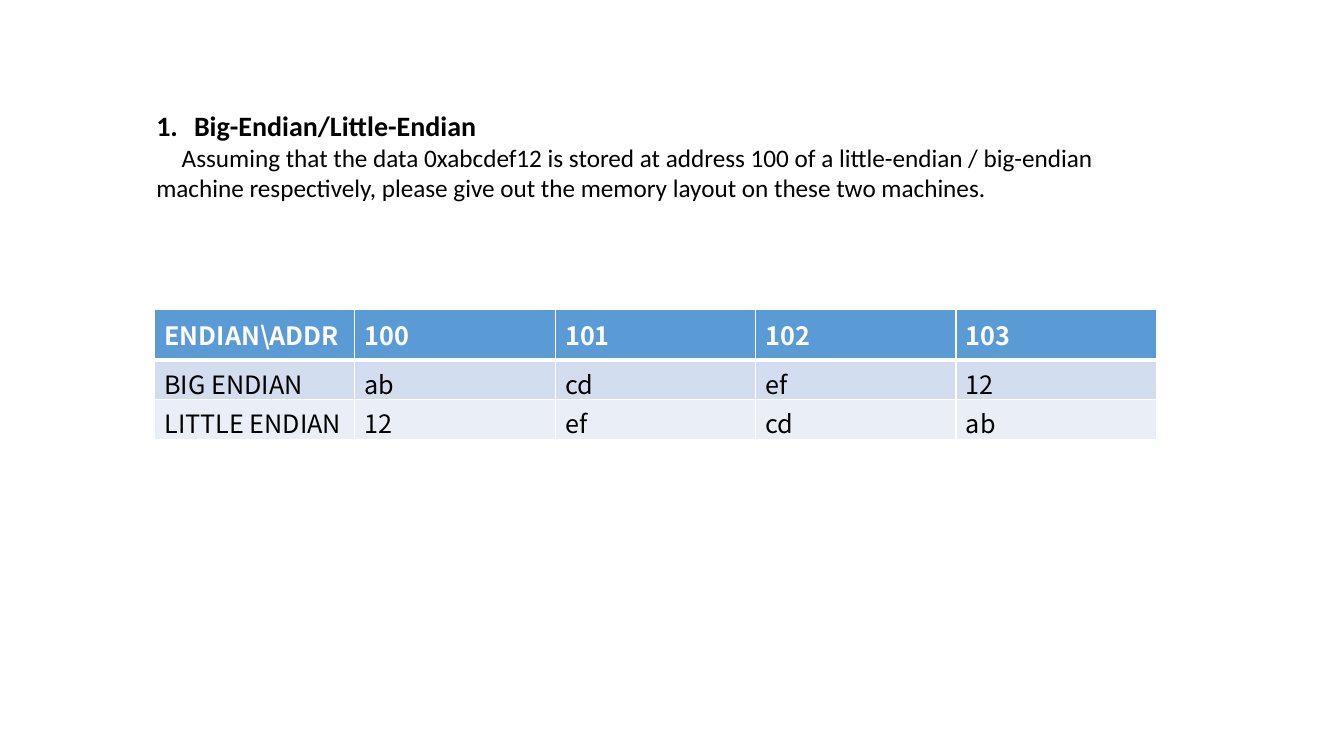
from pptx import Presentation
from pptx.dml.color import RGBColor
from pptx.enum.text import MSO_ANCHOR
from pptx.oxml.ns import qn
from pptx.util import Cm, Pt
from lxml.etree import SubElement

COLORS = {
    "text": "000000",
    "white": "FFFFFF",
    "header": "5B9BD5",
    "big": "D2DEEF",
    "little": "EAEFF7",
}


def style(run, font, size, color, bold):
    run.font.name = font
    run.font.size = Pt(size)
    run.font.bold = bold
    run.font.color.rgb = RGBColor.from_string(COLORS[color])


def add_borders(cell, bottom_width):
    # Borders come before the fill in the cell properties
    props = cell._tc.get_or_add_tcPr()
    widths = {"a:lnL": 1, "a:lnR": 1, "a:lnT": 1, "a:lnB": bottom_width}
    for side, width in widths.items():
        line = SubElement(props, qn(side), w=str(Pt(width)))
        fill = SubElement(line, qn("a:solidFill"))
        SubElement(fill, qn("a:srgbClr"), val=COLORS["white"])


prs = Presentation()
prs.slide_width, prs.slide_height = Cm(33.87), Cm(19.05)
slide = prs.slides.add_slide(prs.slide_layouts[6])

# Question: numbered heading and indented body
question = slide.shapes.add_textbox(Cm(3.69), Cm(2.62), Cm(25.7), Cm(6.83)).text_frame
question.word_wrap = True
heading = question.paragraphs[0]
heading.text = "Big-Endian/Little-Endian"
style(heading.runs[0], "Calibri", 20, "text", True)
heading_props = heading._p.get_or_add_pPr()
heading_props.set("marL", str(Cm(0.95)))
heading_props.set("indent", str(Cm(-0.95)))
SubElement(heading_props, qn("a:buFont"), typeface="+mj-lt")
SubElement(heading_props, qn("a:buAutoNum"), type="arabicPeriod")

task = question.add_paragraph()
task.text = (
    "Assuming that the data 0xabcdef12 is stored at address 100 of a "
    "little-endian / big-endian machine respectively, please give out "
    "the memory layout on these two machines. "
)
style(task.runs[0], "Calibri", 18, "text", False)
task._p.get_or_add_pPr().set("indent", str(Cm(0.64)))

# Memory layout table
layout_rows = [
    ("header", ["ENDIAN\\ADDR", "100", "101", "102", "103"]),
    ("big", ["BIG ENDIAN", "ab", "cd", "ef", "12"]),
    ("little", ["LITTLE ENDIAN", "12", "ef", "cd", "ab"]),
]
memory = slide.shapes.add_table(3, 5, Cm(3.89), Cm(7.8), Cm(25.27), Cm(3.3)).table
for column in memory.columns:
    column.width = Cm(5.05)
for r, (kind, values) in enumerate(layout_rows):
    is_header = kind == "header"
    memory.rows[r].height = Cm(1.27 if is_header else 1.0)
    for c, value in enumerate(values):
        cell = memory.cell(r, c)
        cell.text = value
        style(cell.text_frame.paragraphs[0].runs[0], "Noto Sans CJK SC", 18,
              "white" if is_header else "text", is_header)
        if is_header:
            cell.vertical_anchor = MSO_ANCHOR.MIDDLE
        else:
            cell.margin_bottom = Cm(0)
        add_borders(cell, 3 if is_header else 1)
        cell.fill.solid()
        cell.fill.fore_color.rgb = RGBColor.from_string(COLORS[kind])

prs.save("out.pptx")
